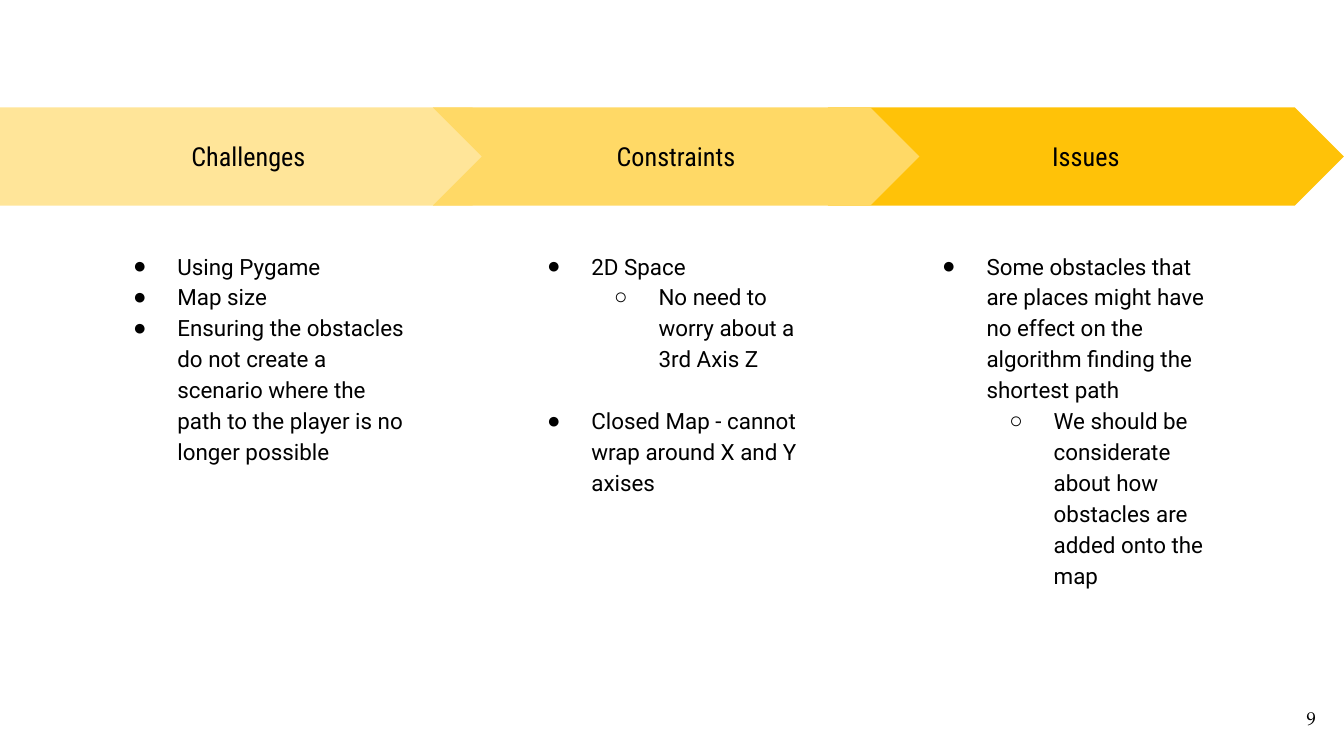
import pptx
import pptx.util
import pptx.dml.color
import pptx.enum.shapes
import pptx.enum.text
import pptx.oxml
import pptx.oxml.ns

Inches = pptx.util.Inches
Pt = pptx.util.Pt
RGBColor = pptx.dml.color.RGBColor
SHAPE = pptx.enum.shapes.MSO_SHAPE
ALIGN = pptx.enum.text.PP_ALIGN
ANCHOR = pptx.enum.text.MSO_ANCHOR

BLACK = RGBColor(0x00, 0x00, 0x00)
PALE = RGBColor(0xFF, 0xE5, 0x99)
MID = RGBColor(0xFF, 0xD9, 0x66)
GOLD = RGBColor(0xFF, 0xC2, 0x08)

WIDE = 10
HIGH = WIDE * 9 / 16
BAND_TOP, BAND_HIGH = 0.8, 0.73
LIST_TOP, LIST_WIDE, LIST_HIGH = 1.75, 2.45, 2.86
LINE_GAP = 16.5  # points, one line of list text
BULLETS = "●○"

# Back to front: head, shape, left, width, fill, list left,
# items as (level, text, points before)
COLUMNS = [
    ("Issues", SHAPE.CHEVRON, 6.16, 3.84, GOLD, 6.74, [
        (0, "Some obstacles that are places might have no effect on the "
            "algorithm finding the shortest path", 0),
        (1, "We should be considerate about how obstacles are added onto "
            "the map", 0),
    ]),
    ("Challenges", SHAPE.PENTAGON, 0, 3.88, PALE, 0.72, [
        (0, "Using Pygame", 0),
        (0, "Map size", 0),
        (0, "Ensuring the obstacles do not create a scenario where the path "
            "to the player is no longer possible", 0),
    ]),
    ("Constraints", SHAPE.CHEVRON, 3.22, 3.62, MID, 3.8, [
        (0, "2D Space", 0),
        (1, "No need to worry about a 3rd Axis Z", 0),
        (0, "Closed Map - cannot wrap around X and Y axises", LINE_GAP),
    ]),
]


def set_frame(frame, anchor):
    frame.word_wrap = True
    frame.auto_size = pptx.enum.text.MSO_AUTO_SIZE.NONE
    frame.vertical_anchor = anchor
    frame.margin_left = frame.margin_right = Inches(0.1)
    frame.margin_top = frame.margin_bottom = Inches(0.1)


def add_run(para, text, size, face):
    run = para.add_run()
    run.text = text
    run.font.size = Pt(size)
    run.font.name = face
    run.font.bold = False
    run.font.color.rgb = BLACK


def add_bullet(para, level):
    # The bullet keeps the font of the slide master
    props = para._p.get_or_add_pPr()
    props.set("marL", str(Inches(0.5 * (level + 1))))
    props.set("indent", str(Inches(-0.33)))
    space = pptx.oxml.ns.nsdecls("a")
    for part in (
        f'<a:buClr {space}><a:srgbClr val="{BLACK}"/></a:buClr>',
        f'<a:buChar {space} char="{BULLETS[level]}"/>',
    ):
        props.append(pptx.oxml.parse_xml(part))


def add_arrow(slide, head, kind, left, width, fill):
    arrow = slide.shapes.add_shape(
        kind, Inches(left), Inches(BAND_TOP), Inches(width), Inches(BAND_HIGH))
    arrow.adjustments[0] = 0.5
    arrow.shadow.inherit = False
    arrow.fill.solid()
    arrow.fill.fore_color.rgb = fill
    arrow.line.fill.background()
    set_frame(arrow.text_frame, ANCHOR.MIDDLE)
    para = arrow.text_frame.paragraphs[0]
    para.alignment = ALIGN.CENTER
    add_run(para, head, 14, "Roboto Condensed")


def fill_list(body, left, items):
    body.left, body.top = Inches(left), Inches(LIST_TOP)
    body.width, body.height = Inches(LIST_WIDE), Inches(LIST_HIGH)
    frame = body.text_frame
    set_frame(frame, ANCHOR.TOP)
    for place, (level, text, gap) in enumerate(items):
        para = frame.add_paragraph() if place else frame.paragraphs[0]
        para.level = level
        para.alignment = ALIGN.LEFT
        para.line_spacing = 1.15
        para.space_before = Pt(gap)
        para.space_after = Pt(0)
        add_bullet(para, level)
        add_run(para, text, 12, "Roboto")


def add_number(slide, text):
    box = slide.shapes.add_textbox(
        Inches(9.29), Inches(5.13), Inches(0.6), Inches(0.43))
    set_frame(box.text_frame, ANCHOR.MIDDLE)
    para = box.text_frame.paragraphs[0]
    para.alignment = ALIGN.RIGHT
    add_run(para, text, 10, "TeX Gyre Pagella")


def main():
    deck = pptx.Presentation()
    deck.slide_width, deck.slide_height = Inches(WIDE), Inches(HIGH)
    # The comparison layout has a body placeholder for each column
    slide = deck.slides.add_slide(deck.slide_layouts[4])
    title, *bodies = slide.placeholders

    # Page number
    add_number(slide, "9")

    # Arrow band with a list below each arrow
    for body, column in zip(bodies, COLUMNS):
        head, kind, left, width, fill, start, items = column
        add_arrow(slide, head, kind, left, width, fill)
        fill_list(body, start, items)

    # Unused placeholders
    for spare in [title] + bodies[len(COLUMNS):]:
        spare.element.getparent().remove(spare.element)

    deck.save("out.pptx")


if __name__ == "__main__":
    main()
